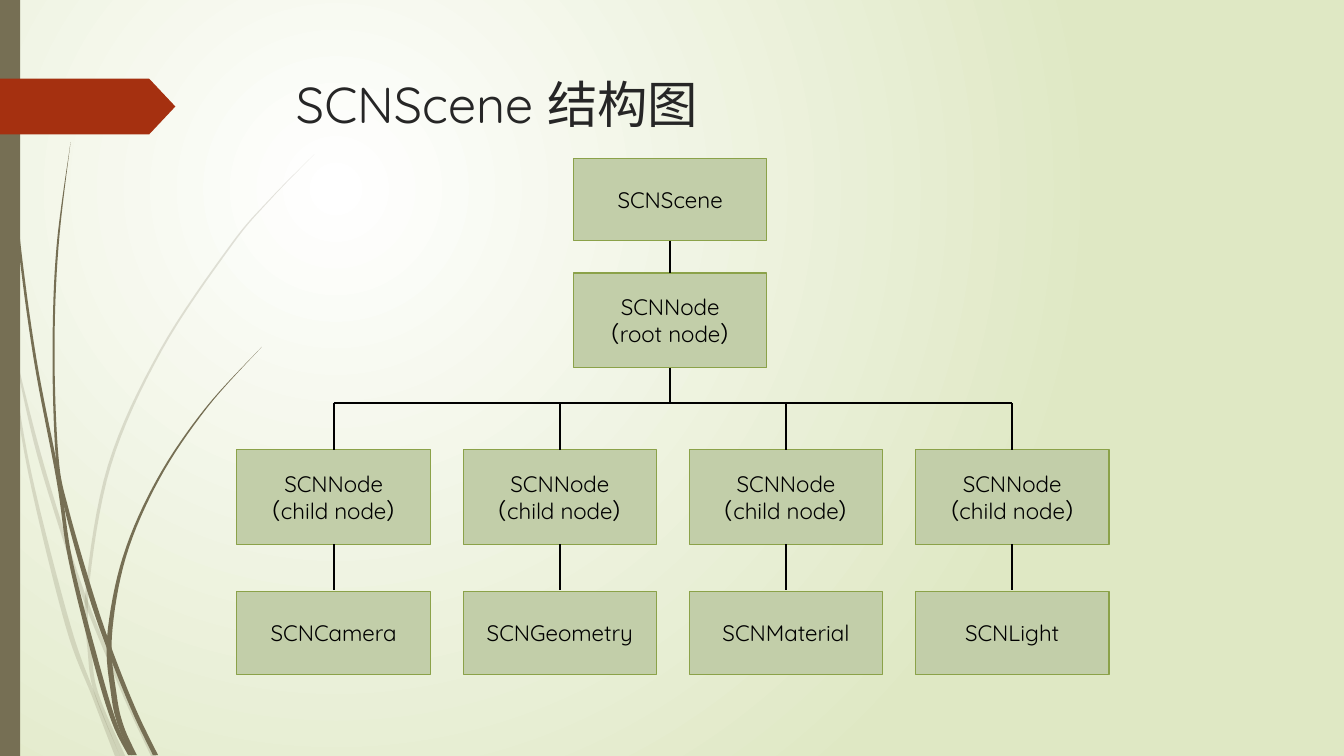
"""Build the SCNScene structure slide: a node tree on a grass-decorated background."""
from dataclasses import dataclass
from typing import NamedTuple

from pptx import Presentation
from pptx import util as u
from pptx.dml.color import RGBColor
from pptx.enum import shapes, text
from pptx.oxml.xmlchemy import OxmlElement
from pptx.shapes.autoshape import Shape
from pptx.slide import Slide


@dataclass(frozen=True)
class Theme:
    """Colours, font and type sizes of the slide."""
    font: str = "Quicksand"
    title_size: float = 36
    box_size: float = 16
    box_line: float = 0.75
    link_line: float = 1.25
    title: str = "262626"
    ink: str = "000000"
    box: str = "C2CEA9"
    border: str = "8BA249"
    grass: str = "766F54"
    marker: str = "A53010"
    glow: str = "FFFFFF"
    backdrop: str = "DFE8C4"
    pale_alpha: int = 20


class Station(NamedTuple):
    """A point on the spine of a blade, with the blade's width there, in cm."""
    x: float
    y: float
    width: float


class Blade(NamedTuple):
    """A blade of grass running through its stations."""
    stations: list[Station]
    pale: bool


class Box(NamedTuple):
    """A labelled box of the tree, in cm."""
    label: str
    left: float
    top: float
    height: float


class Link(NamedTuple):
    """A straight line between two points, in cm."""
    x1: float
    y1: float
    x2: float
    y2: float


def blade(pale: bool, *points: tuple[float, float, float]) -> Blade:
    """Return a blade through the given points."""
    return Blade([Station(*point) for point in points], pale)


THEME = Theme()
SLIDE_WIDTH, SLIDE_HEIGHT = 33.87, 19.05
BOX_WIDTH, SINGLE_HEIGHT, DOUBLE_HEIGHT = 4.88, 2.08, 2.39
FIRST_LEFT, PITCH, ROOT_LEFT = 5.97, 5.7, 14.45
SCENE_TOP, ROOT_TOP, BUS_Y, CHILD_TOP, LEAF_TOP = 3.99, 6.88, 10.16, 11.33, 14.91
LEAF_GAP = 0.05
LEAVES = ["SCNCamera", "SCNGeometry", "SCNMaterial", "SCNLight"]
CURVE_STEPS = 8

BLADES = [
    blade(True, (0, 7.37, 0.05), (0.25, 8.89, 0.05), (0.75, 11.91, 0.08),
          (1.71, 15.75, 0.13), (2.39, 17.6, 0.1), (2.96, 19.05, 0.13)),
    blade(True, (0.37, 8.9, 0.03), (0.91, 11.18, 0.1), (1.52, 13.23, 0.1),
          (2.18, 15.19, 0.1), (3.18, 17.6, 0.1), (3.87, 19.05, 0.13)),
    blade(True, (7.92, 3.89, 0), (6.81, 5.02, 0.03), (5.8, 6.21, 0.05),
          (4.04, 8.85, 0.06), (2.76, 11.72, 0.08), (2.2, 14.83, 0.08),
          (2.26, 16.41, 0.1), (2.43, 17.48, 0.1), (3.09, 19.05, 0.13)),
    blade(False, (0.09, 0, 0.02), (0.19, 2.78, 0.04), (0.46, 5.9, 0.06),
          (0.88, 9.02, 0.07), (1.47, 12.1, 0.09), (1.78, 14.13, 0.1),
          (2.43, 16.71, 0.13), (2.88, 18.2, 0.12), (3.28, 19.03, 0.1)),
    blade(False, (1.78, 3.58, 0), (1.45, 6.22, 0.05), (1.35, 8.86, 0.05),
          (1.44, 11.51, 0.07), (1.68, 12.83, 0.1), (2.3, 15.01, 0.13),
          (2.83, 16.54, 0.12), (3.4, 17.95, 0.12), (3.92, 19.03, 0.13)),
    blade(False, (6.6, 8.74, 0), (5.19, 10.29, 0.04), (3.99, 12.07, 0.06),
          (3.14, 14.02, 0.08), (2.76, 16.05, 0.12), (2.87, 17.5, 0.14),
          (3.05, 18.3, 0.14), (3.38, 19.03, 0.14)),
]


def color(value: str) -> RGBColor:
    """Return the colour for a hex value."""
    return RGBColor.from_string(value)


def set_background(slide: Slide) -> None:
    """Fill the background with a round glow."""
    fill = slide.background.fill
    fill.gradient()
    for stop, value in zip(fill.gradient_stops, (THEME.glow, THEME.backdrop)):
        stop.color.rgb = color(value)
    gradient = slide.element.xpath(".//a:gradFill")[0]
    circle = OxmlElement("a:path")
    circle.set("path", "circle")
    target = OxmlElement("a:fillToRect")
    for side, share in zip("ltrb", (50000, 50000, 100000, 100000)):
        target.set(side, str(share))
    circle.append(target)
    gradient.replace(gradient.xpath("a:lin")[0], circle)


def paint(shape: Shape, fill: str, border: str | None = None) -> None:
    """Give a shape a flat fill and an optional border."""
    shape.shadow.inherit = False
    shape.fill.solid()
    shape.fill.fore_color.rgb = color(fill)
    if border is None:
        shape.line.fill.background()
    else:
        shape.line.color.rgb = color(border)
        shape.line.width = u.Pt(THEME.box_line)


def add_preset(slide: Slide, kind: shapes.MSO_SHAPE, left: float, top: float,
               width: float, height: float) -> Shape:
    """Add a preset shape placed in cm."""
    return slide.shapes.add_shape(kind, *map(u.Cm, (left, top, width, height)))


def smooth(stations: list[Station]) -> list[Station]:
    """Return stations on a Catmull-Rom curve through the given ones."""
    padded = [stations[0], *stations, stations[-1]]
    curve = [stations[0]]
    for a, b, c, d in zip(padded, padded[1:], padded[2:], padded[3:]):
        for step in range(1, CURVE_STEPS + 1):
            t = step / CURVE_STEPS
            curve.append(Station(*(
                q + t / 2 * (r - p + t * (2 * p - 5 * q + 4 * r - s + t * (3 * (q - r) + s - p)))
                for p, q, r, s in zip(a, b, c, d))))
    return curve


def add_blade(slide: Slide, grass: Blade) -> None:
    """Draw one blade of grass."""
    curve = smooth(grass.stations)
    left = [(u.Cm(s.x - s.width / 2), u.Cm(s.y)) for s in curve]
    right = [(u.Cm(s.x + s.width / 2), u.Cm(s.y)) for s in reversed(curve)]
    builder = slide.shapes.build_freeform(*left[0])
    builder.add_line_segments(left[1:] + right, close=True)
    shape = builder.convert_to_shape()
    paint(shape, THEME.grass)
    if grass.pale:
        alpha = OxmlElement("a:alpha")
        alpha.set("val", str(THEME.pale_alpha * 1000))
        shape.element.spPr.xpath("a:solidFill/a:srgbClr")[0].append(alpha)


def write(shape: Shape, words: str, size: float, ink: str, align: text.PP_ALIGN,
          anchor: text.MSO_ANCHOR) -> None:
    """Write text into a shape and format its runs."""
    frame = shape.text_frame
    frame.word_wrap = True
    frame.vertical_anchor = anchor
    frame.text = words
    for paragraph in frame.paragraphs:
        paragraph.alignment = align
        for run in paragraph.runs:
            run.font.name = THEME.font
            run.font.size = u.Pt(size)
            run.font.color.rgb = color(ink)


def add_box(slide: Slide, box: Box) -> None:
    """Draw one box of the tree."""
    shape = add_preset(slide, shapes.MSO_SHAPE.RECTANGLE, box.left, box.top, BOX_WIDTH, box.height)
    paint(shape, THEME.box, THEME.border)
    write(shape, box.label, THEME.box_size, THEME.ink, text.PP_ALIGN.CENTER, text.MSO_ANCHOR.MIDDLE)


def add_link(slide: Slide, link: Link) -> None:
    """Draw one line of the tree."""
    connector = slide.shapes.add_connector(shapes.MSO_CONNECTOR.STRAIGHT, *map(u.Cm, link))
    connector.line.color.rgb = color(THEME.ink)
    connector.line.width = u.Pt(THEME.link_line)
    connector.element.spPr.append(OxmlElement("a:effectLst"))


def add_tree(slide: Slide) -> None:
    """Lay out the boxes and lines of the tree."""
    lefts = [FIRST_LEFT + PITCH * column for column in range(len(LEAVES))]
    centers = [left + BOX_WIDTH / 2 for left in lefts]
    middle = ROOT_LEFT + BOX_WIDTH / 2
    boxes = [Box("SCNScene", ROOT_LEFT, SCENE_TOP, SINGLE_HEIGHT),
             Box("SCNNode\n（root node）", ROOT_LEFT, ROOT_TOP, DOUBLE_HEIGHT)]
    boxes += [Box("SCNNode\n（child node）", left, CHILD_TOP, DOUBLE_HEIGHT) for left in lefts]
    boxes += [Box(leaf, left, LEAF_TOP, SINGLE_HEIGHT) for leaf, left in zip(LEAVES, lefts)]
    links = [Link(middle, SCENE_TOP + SINGLE_HEIGHT, middle, ROOT_TOP),
             Link(middle, ROOT_TOP + DOUBLE_HEIGHT, middle, BUS_Y),
             Link(centers[0], BUS_Y, centers[-1], BUS_Y)]
    links += [Link(x, BUS_Y, x, CHILD_TOP) for x in centers]
    links += [Link(x, CHILD_TOP + DOUBLE_HEIGHT, x, LEAF_TOP - LEAF_GAP) for x in centers]
    for box in boxes:
        add_box(slide, box)
    for link in links:
        add_link(slide, link)


def main() -> None:
    """Build and save the presentation."""
    presentation = Presentation()
    presentation.slide_width, presentation.slide_height = u.Cm(SLIDE_WIDTH), u.Cm(SLIDE_HEIGHT)
    slide = presentation.slides.add_slide(presentation.slide_layouts[6])
    set_background(slide)
    for grass in BLADES:
        add_blade(slide, grass)
    paint(add_preset(slide, shapes.MSO_SHAPE.RECTANGLE, 0, 0, 0.51, SLIDE_HEIGHT), THEME.grass)
    marker = add_preset(slide, shapes.MSO_SHAPE.PENTAGON, 0, 1.98, 4.42, 1.41)
    marker.adjustments[0] = 0.47
    paint(marker, THEME.marker)
    title = slide.shapes.add_textbox(*map(u.Cm, (7.21, 1.73, 24.77, 3.56)))
    write(title, "SCNScene 结构图", THEME.title_size, THEME.title, text.PP_ALIGN.LEFT, text.MSO_ANCHOR.TOP)
    add_tree(slide)
    presentation.save("out.pptx")


if __name__ == "__main__":
    main()
